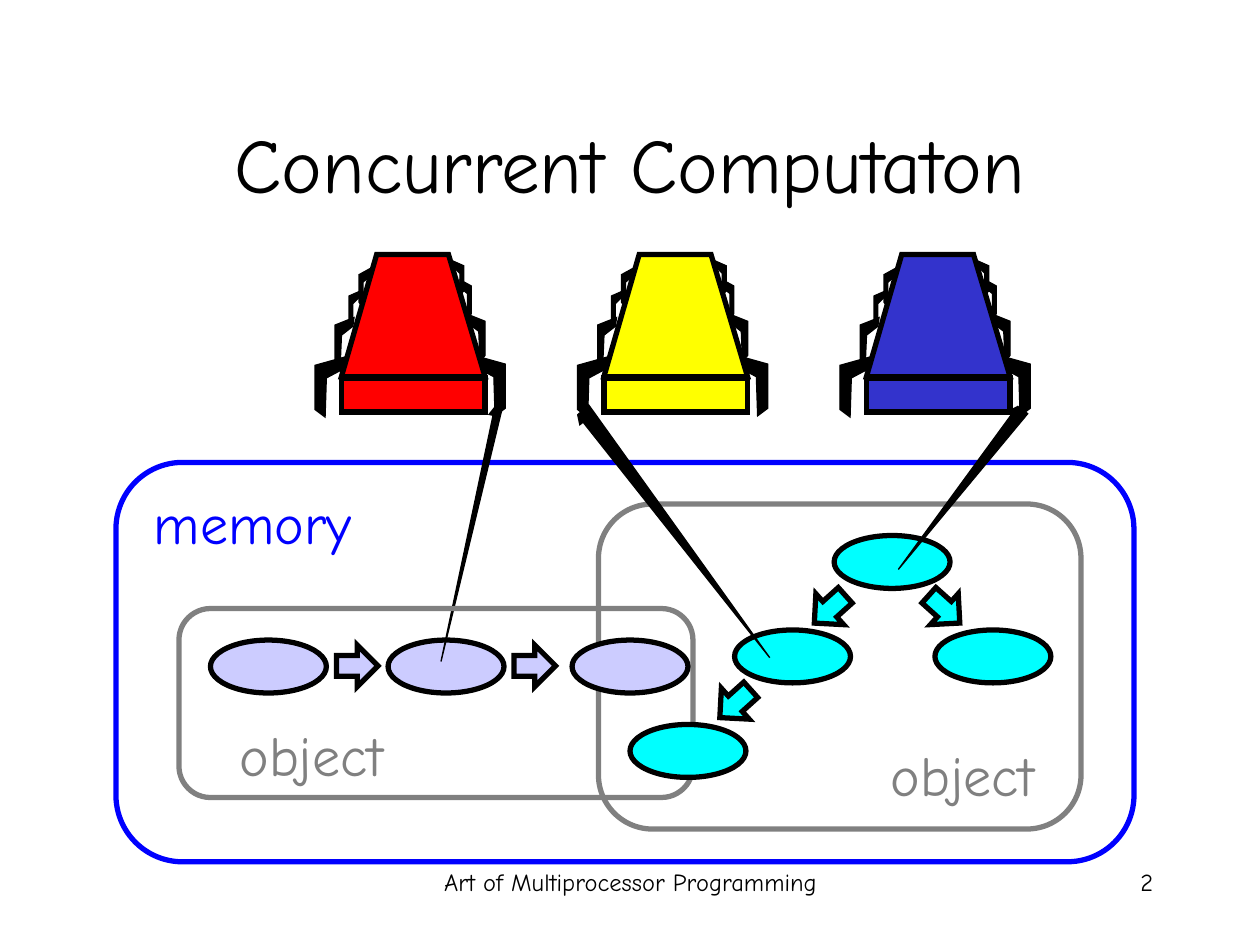
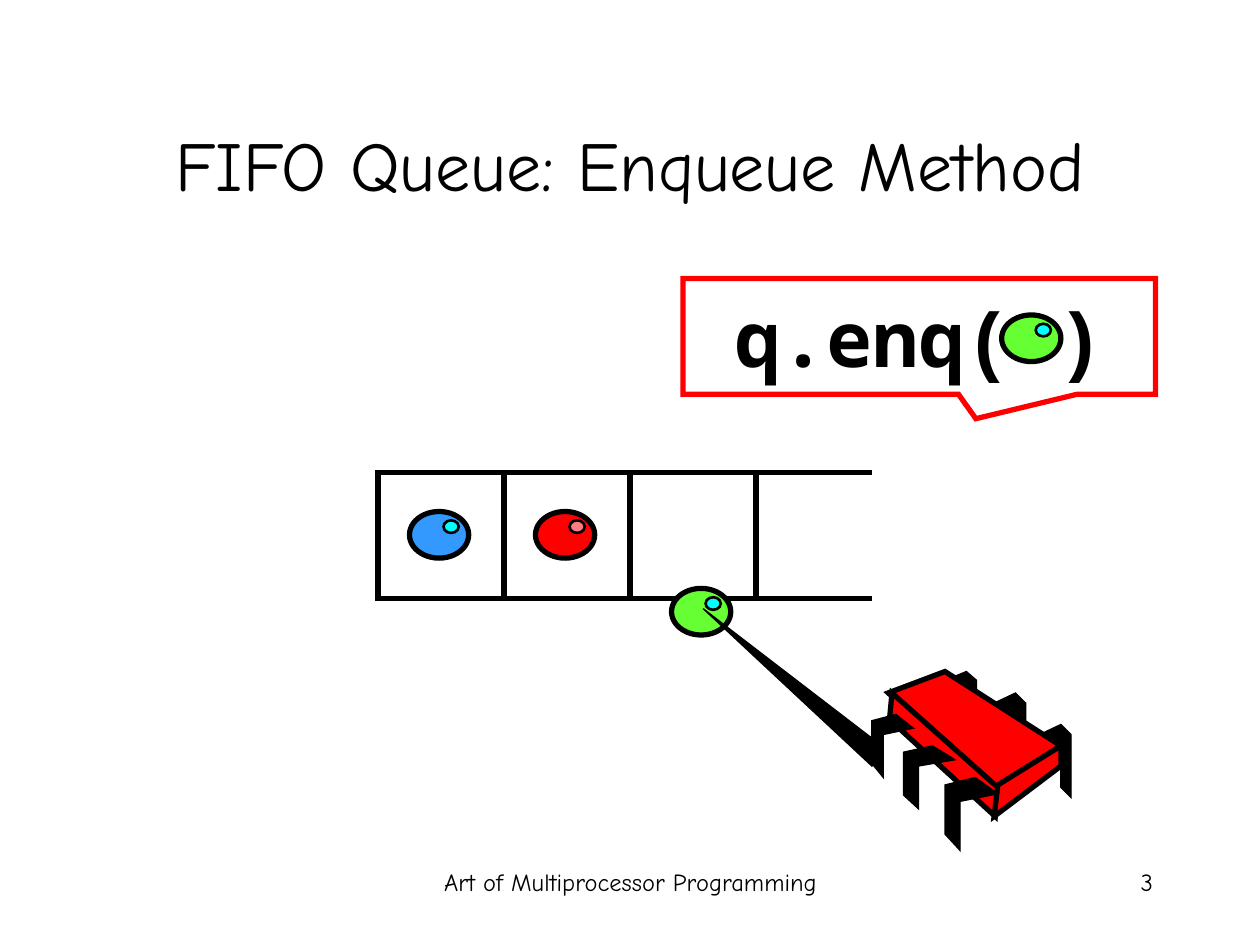
from dataclasses import dataclass

from lxml import etree
from pptx import Presentation
from pptx.dml.color import RGBColor
from pptx.enum.shapes import MSO_CONNECTOR, MSO_SHAPE
from pptx.enum.text import MSO_ANCHOR, MSO_AUTO_SIZE, PP_ALIGN
from pptx.oxml.ns import qn
from pptx.util import Inches, Pt

OVAL = MSO_SHAPE.OVAL
RECT = MSO_SHAPE.RECTANGLE
ROUND = MSO_SHAPE.ROUNDED_RECTANGLE
ARROW = MSO_SHAPE.RIGHT_ARROW
BUBBLE = MSO_SHAPE.ROUNDED_RECTANGULAR_CALLOUT
STRAIGHT = MSO_CONNECTOR.STRAIGHT
MIDDLE = MSO_ANCHOR.MIDDLE
FIXED = MSO_AUTO_SIZE.NONE
LEFT, CENTER, RIGHT = PP_ALIGN.LEFT, PP_ALIGN.CENTER, PP_ALIGN.RIGHT

FONT = "Comic Neue"
BLACK, WHITE, RED, BLUE, GRAY = "000000", "FFFFFF", "FF0000", "0000FF", "808080"
CYAN, LILAC, YELLOW, NAVY = "00FFFF", "CCCCFF", "FFFF00", "3333CC"
GREEN, SKY, PINK = "66FF33", "3399FF", "FF7C80"
FOOTER = "Art of Multiprocessor Programming"

Points = list[tuple[float, float]]


@dataclass
class Box:
    x: float
    y: float
    w: float
    h: float


@dataclass
class Leg:
    points: Points
    mirror: float
    drop: float


@dataclass
class Node:
    x: float
    y: float
    fill: str


@dataclass
class Link:
    x: float
    y: float
    turn: float
    fill: str


@dataclass
class Bead:
    x: float
    y: float
    fill: str
    glint: str


@dataclass
class Part:
    points: Points
    fill: str
    width: float


LEGS = [
    Leg([(3.76, 2.82), (4.01, 2.89), (4.01, 3.24), (3.93, 3.3), (3.92, 2.99), (3.77, 2.91)], 6.51, 0.01),
    Leg([(3.7, 2.49), (3.85, 2.55), (3.85, 2.82), (3.81, 2.87), (3.8, 2.63), (3.71, 2.56)], 6.51, 0.03),
    Leg([(3.65, 2.22), (3.74, 2.27), (3.74, 2.49), (3.71, 2.53), (3.71, 2.33), (3.65, 2.28)], 6.59, -0.09),
    Leg([(3.59, 2.07), (3.68, 2.11), (3.68, 2.31), (3.65, 2.34), (3.65, 2.17), (3.6, 2.12)], 6.45, 0.24),
]
BACK = [(2.71, 2.99), (2.99, 2.02), (3.56, 2.02), (3.85, 2.99)]
STEP = 25 / 12

LOW = [Node(x, 5.08, LILAC) for x in (1.67, 3.08)]
TREE = [Node(7.42, 5, CYAN), Node(6.62, 4.25, CYAN), Node(5.83, 5, CYAN)]
SHARED = [Node(5, 5.75, CYAN), Node(4.54, 5.08, LILAC)]
LINKS = [
    Link(2.67, 5.12, 0, LILAC), Link(4.08, 5.12, 0, LILAC),
    Link(7.33, 4.67, 42, CYAN), Link(6.42, 4.67, 138, CYAN), Link(5.67, 5.42, 138, CYAN),
]

BUG = [
    Part([(8.25, 5.83), (8.42, 5.75), (8.5, 5.83), (8.5, 6.33), (8.42, 6.25), (8.42, 5.92), (8.25, 6)], BLACK, 0.75),
    Part([(7.89, 5.58), (8.06, 5.5), (8.14, 5.58), (8.14, 6.08), (8.06, 6), (8.06, 5.67), (7.89, 5.75)], BLACK, 0.75),
    Part([(7.5, 5.4), (7.67, 5.33), (7.75, 5.4), (7.75, 5.83), (7.67, 5.76), (7.67, 5.48), (7.5, 5.55)], BLACK, 0.75),
    Part([(7.5, 5.33), (8.42, 5.92), (7.9, 6.26), (7.05, 5.5)], RED, 3),
    Part([(7.08, 5.5), (7.92, 6.25), (7.9, 6.48), (7.06, 5.71)], RED, 3),
    Part([(8.42, 5.92), (8.42, 6.08), (7.89, 6.48), (7.92, 6.23)], RED, 3),
    Part([(7.74, 6.17), (7.92, 6.3), (7.62, 6.36), (7.62, 6.75), (7.5, 6.62), (7.5, 6.23)], BLACK, 0.75),
    Part([(7.4, 5.92), (7.58, 6.03), (7.29, 6.08), (7.29, 6.42), (7.17, 6.31), (7.17, 5.97)], BLACK, 0.75),
    Part([(7.11, 5.67), (7.25, 5.78), (7.01, 5.83), (7.01, 6.17), (6.92, 6.06), (6.92, 5.72)], BLACK, 0.75),
]


def color(code: str) -> RGBColor:
    return RGBColor.from_string(code)


def place(box: Box) -> list:
    return [Inches(v) for v in (box.x, box.y, box.w, box.h)]


def paint(shape, fill: str | None, line: str, width: float) -> None:
    shape.shadow.inherit = False
    if fill:
        shape.fill.solid()
        shape.fill.fore_color.rgb = color(fill)
    else:
        shape.fill.background()
    shape.line.color.rgb = color(line)
    shape.line.width = Pt(width)
    edge = shape.line._get_or_add_ln()
    etree.SubElement(edge, qn("a:miter"), lim="800000")


def form(shapes, kind, box: Box, fill: str | None = None, line: str = BLACK, width: float = 3):
    shape = shapes.add_shape(kind, *place(box))
    paint(shape, fill, line, width)
    return shape


def outline(shapes, points: Points, fill: str = BLACK, width: float = 0.75, close: bool = True):
    spots = [(Inches(x), Inches(y)) for x, y in points]
    pen = shapes.build_freeform(*spots[0], scale=1.0)
    pen.add_line_segments(spots[1:], close=close)
    shape = pen.convert_to_shape()
    paint(shape, fill, BLACK, width)
    return shape


def write(frame, words: str, size: float = 14, font: str = FONT, ink: str = BLACK,
          bold: bool = False, align=LEFT) -> None:
    frame.word_wrap = True
    line = frame.paragraphs[0]
    line.alignment = align
    run = line.add_run()
    run.text = words
    run.font.size = Pt(size)
    run.font.name = font
    run.font.bold = bold
    run.font.color.rgb = color(ink)


def label(shapes, box: Box, words: str, **style) -> None:
    write(shapes.add_textbox(*place(box)).text_frame, words, **style)


def page(deck, title: str, size: float, number: int):
    shapes = deck.slides.add_slide(deck.slide_layouts[5]).shapes
    head = shapes.title
    head.left, head.top, head.width, head.height = place(Box(0.75, 0.67, 8.5, 1.25))
    head.text_frame.auto_size = FIXED
    head.text_frame.vertical_anchor = MIDDLE
    write(head.text_frame, title, size=size, align=CENTER)
    label(shapes, Box(3.42, 6.83, 3.17, 0.5), FOOTER, align=CENTER)
    label(shapes, Box(7.17, 6.83, 2.08, 0.5), str(number), align=RIGHT)
    return shapes


def spider(shapes, shift: float, fill: str) -> None:
    group = shapes.add_group_shape().shapes
    for leg in LEGS:
        outline(group, [(x + shift, y) for x, y in leg.points])
        outline(group, [(leg.mirror - x + shift, y + leg.drop) for x, y in leg.points])
    outline(group, [(x + shift, y) for x, y in BACK], fill, 3)
    form(group, RECT, Box(2.71 + shift, 3, 1.14, 0.27), fill)


def oval(shapes, node: Node) -> None:
    form(shapes, OVAL, Box(node.x, node.y, 0.92, 0.42), node.fill)


def reach(shapes, points: Points) -> None:
    arm = outline(shapes, points, close=False)
    etree.SubElement(arm.line._get_or_add_ln(), qn("a:tailEnd"), type="triangle")


def bead(shapes, item: Bead) -> None:
    group = shapes.add_group_shape().shapes
    form(group, OVAL, Box(item.x, item.y, 0.47, 0.37), item.fill)
    form(group, OVAL, Box(item.x + 0.27, item.y + 0.07, 0.12, 0.1), item.glint, width=1.5)


def rail(shapes, y: float) -> None:
    line = shapes.add_connector(STRAIGHT, Inches(5.92), Inches(y), Inches(6.92), Inches(y))
    line.line.color.rgb = color(BLACK)
    line.line.width = Pt(3)
    etree.SubElement(line._element.spPr, qn("a:effectLst"))


def memory(deck) -> None:
    shapes = page(deck, "Concurrent Computaton", 44, 2)
    form(shapes, ROUND, Box(0.92, 3.67, 8.08, 3.17), WHITE, BLUE)
    for i, fill in enumerate((RED, YELLOW, NAVY)):
        spider(shapes, i * STEP, fill)
    for node in LOW + TREE:
        oval(shapes, node)
    for link in LINKS:
        arrow = form(shapes, ARROW, Box(link.x, link.y, 0.33, 0.33), link.fill)
        arrow.rotation = link.turn
    label(shapes, Box(1.08, 3.83, 1.81, 0.63), "memory", size=32, ink=BLUE, align=RIGHT)
    reach(shapes, [(4.01, 3.14), (3.5, 5.25), (3.93, 3.22)])
    for frame, tag in (
        (Box(1.42, 4.83, 4.08, 1.5), Box(1.58, 5.67, 1.56, 0.63)),
        (Box(4.75, 4, 3.83, 2.58), Box(6.75, 5.83, 1.56, 0.63)),
    ):
        form(shapes, ROUND, frame, line=GRAY)
        label(shapes, tag, "object", size=32, ink=GRAY, align=RIGHT)
    for node in SHARED:
        oval(shapes, node)
    reach(shapes, [(4.67, 3.21), (6.11, 5.22), (4.58, 3.29)])
    reach(shapes, [(8.16, 3.28), (7.13, 4.52), (8.08, 3.22)])


def queue(deck) -> None:
    shapes = page(deck, "FIFO Queue: Enqueue Method", 40, 3)
    for x in (3, 4, 5):
        form(shapes, RECT, Box(x, 3.75, 1, 1))
    for y in (3.75, 4.75):
        rail(shapes, y)
    for item in (Bead(3.25, 4.06, SKY, CYAN), Bead(4.25, 4.06, RED, PINK), Bead(5.33, 4.67, GREEN, CYAN)):
        bead(shapes, item)
    group = shapes.add_group_shape().shapes
    for part in BUG:
        outline(group, part.points, part.fill, part.width)
    outline(shapes, [(6.92, 6.08), (7, 5.92), (5.58, 4.83)])
    call = form(shapes, BUBBLE, Box(5.42, 2.21, 3.75, 0.92), line=RED)
    for i, value in enumerate((0.12, 0.71, 0)):
        call.adjustments[i] = value
    call.text_frame.vertical_anchor = MIDDLE
    for words, font in (("q.enq", "Noto Sans Mono"), ("( )", "Courier New")):
        write(call.text_frame, words, size=44, font=font, bold=True, align=CENTER)
    bead(shapes, Bead(7.95, 2.5, GREEN, CYAN))


def main() -> None:
    deck = Presentation()
    deck.slide_width, deck.slide_height = Inches(10), Inches(7.5)
    memory(deck)
    queue(deck)
    deck.save("out.pptx")


if __name__ == "__main__":
    main()
